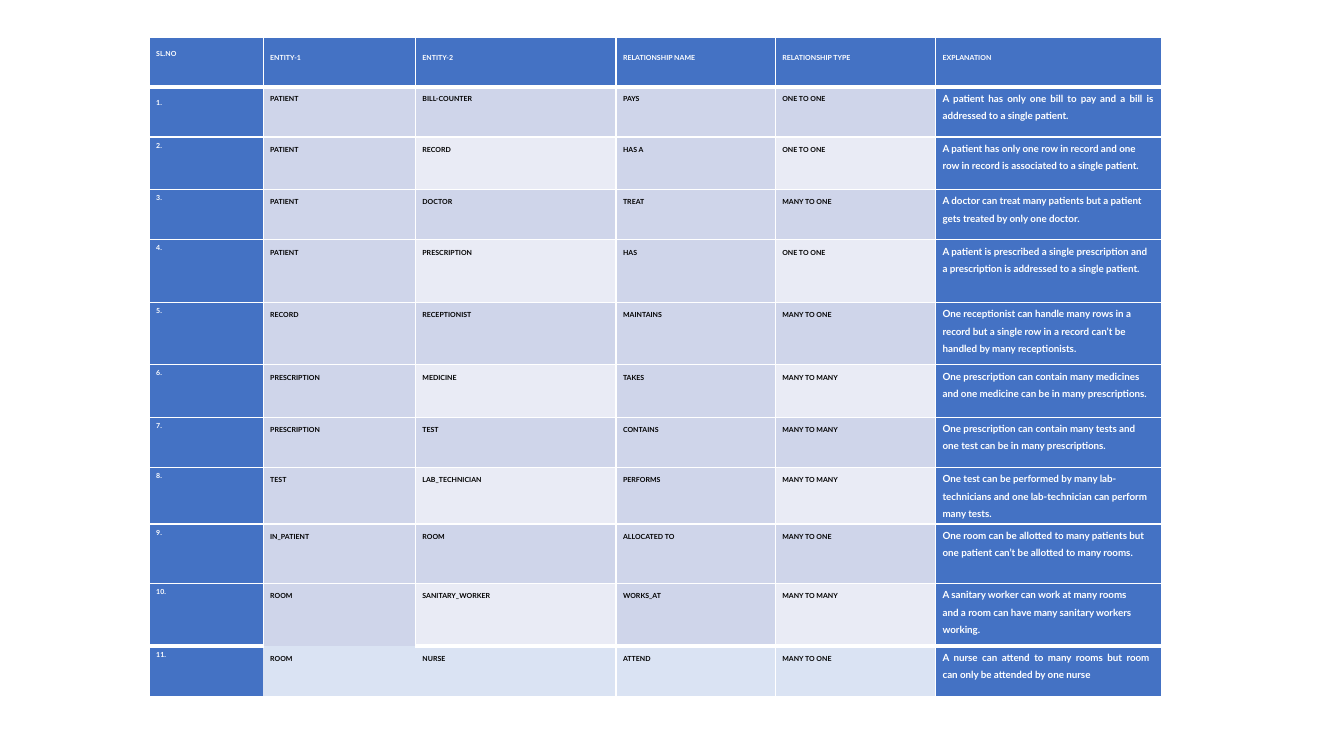
from lxml import etree
from pptx import Presentation
from pptx.dml.color import RGBColor
from pptx.enum.text import PP_ALIGN
from pptx.oxml.ns import qn
from pptx.util import Inches, Pt

JUSTIFY = PP_ALIGN.JUSTIFY
BLUE, WHITE, BLACK = "4472C4", "FFFFFF", "000000"
DARK, LIGHT, PALE = "CFD5EA", "E9EBF5", "DAE3F3"

HEAD = ["SL.NO", "ENTITY-1", "ENTITY-2", "RELATIONSHIP NAME",
        "RELATIONSHIP TYPE", "EXPLANATION"]
LINKS = [
    ("PATIENT", "BILL-COUNTER", "PAYS", "ONE TO ONE",
     "A patient has only one bill to pay and a bill is addressed to a single patient."),
    ("PATIENT", "RECORD", "HAS A", "ONE TO ONE",
     "A patient has only one row in record and one row in record is associated to a single patient."),
    ("PATIENT", "DOCTOR", "TREAT", "MANY TO ONE",
     "A doctor can treat many patients but a patient gets treated by only one doctor."),
    ("PATIENT", "PRESCRIPTION", "HAS", "ONE TO ONE",
     "A patient is prescribed a single prescription and a prescription is addressed to a single patient."),
    ("RECORD", "RECEPTIONIST", "MAINTAINS", "MANY TO ONE",
     "One receptionist can handle many rows in a record but a single row in a record "
     "can’t be handled by many receptionists."),
    ("PRESCRIPTION", "MEDICINE", "TAKES", "MANY TO MANY",
     "One prescription can contain many medicines and one medicine can be in many prescriptions."),
    ("PRESCRIPTION", "TEST", "CONTAINS", "MANY TO MANY",
     "One prescription can contain many tests and one test can be in many prescriptions."),
    ("TEST", "LAB_TECHNICIAN", "PERFORMS", "MANY TO MANY",
     "One test can be performed by many lab-technicians and one lab-technician can perform many tests."),
    ("IN_PATIENT", "ROOM", "ALLOCATED TO", "MANY TO ONE",
     "One room can be allotted to many patients but one patient can’t be allotted to many rooms."),
    ("ROOM", "SANITARY_WORKER", "WORKS_AT", "MANY TO MANY",
     "A sanitary worker can work at many rooms and a room can have many sanitary workers working."),
    ("ROOM", "NURSE", "ATTEND", "MANY TO ONE",
     "A nurse can attend to many rooms but room can only be attended by one nurse"),
]
ROWS = [HEAD] + [(f"{n}.", *link) for n, link in enumerate(LINKS, 1)]
WIDTHS = [1.13, 1.51, 1.99, 1.58, 1.59, 2.24]
HEIGHTS = [0.49, 0.5, 0.52, 0.5, 0.62, 0.62, 0.52, 0.5, 0.56, 0.59, 0.62, 0.5]
LAST, END = len(ROWS) - 1, len(HEAD) - 1
# Sides without a line, by row and column
BARE = {(LAST - 1, 1): "B", (LAST, 0): "R", (LAST, 1): "LRTB", (LAST, 2): "L"}
THICK = {(0, "B"), (1, "T"), (LAST - 1, "B"), (LAST, "T")}
# Right margins of the explanations, where they differ from the usual one
GAP = 0.08
GAPS = {LAST - 1: 0.3, LAST: 0.12}


def rgb(code):
    return RGBColor.from_string(code)


def shade(row, col):
    if row == 0 or col in (0, END):
        return BLUE
    if row == LAST:
        return PALE
    return LIGHT if row % 2 == 0 and col % 2 == 0 else DARK


def rule(cell, row, col):
    """Draw the four borders of a cell."""
    props = cell._tc.get_or_add_tcPr()
    for i, side in enumerate("LRTB"):
        line = etree.Element(qn("a:ln" + side))
        line.set("w", str(Pt(3 if (row, side) in THICK else 1)))
        if side in BARE.get((row, col), ""):
            etree.SubElement(line, qn("a:noFill"))
        else:
            fill = etree.SubElement(line, qn("a:solidFill"))
            etree.SubElement(fill, qn("a:srgbClr")).set("val", WHITE)
        props.insert(i, line)


def write(cell, text, row, col):
    note = row > 0 and col == END
    cell.margin_left = Inches(0.07)
    cell.margin_right = Inches(GAPS.get(row, GAP) if note else 0)
    cell.margin_bottom = 0
    low = row == 0 or (row, col) == (1, 0)
    cell.margin_top = Inches(0.08 if low else 0)
    para = cell.text_frame.paragraphs[0]
    para.text = text
    para.line_spacing = 1.5 if note or col == 0 else 2.0
    if note and row in (1, LAST):
        para.alignment = JUSTIFY
    font = para.runs[0].font
    font.name, font.bold = "Lato", True
    font.size = Pt(7 if note else 5)
    font.color.rgb = rgb(WHITE if shade(row, col) == BLUE else BLACK)


def main():
    deck = Presentation()
    deck.slide_width, deck.slide_height = Inches(13.33), Inches(7.5)
    slide = deck.slides.add_slide(deck.slide_layouts[6])
    table = slide.shapes.add_table(
        len(ROWS), len(HEAD), Inches(1.48), Inches(0.37),
        Inches(sum(WIDTHS)), Inches(sum(HEIGHTS))).table
    for column, width in zip(table.columns, WIDTHS):
        column.width = Inches(width)
    for line, height in zip(table.rows, HEIGHTS):
        line.height = Inches(height)
    for row, texts in enumerate(ROWS):
        for col, text in enumerate(texts):
            cell = table.cell(row, col)
            cell.fill.solid()
            cell.fill.fore_color.rgb = rgb(shade(row, col))
            rule(cell, row, col)
            write(cell, text, row, col)
    deck.save("out.pptx")


if __name__ == "__main__":
    main()
